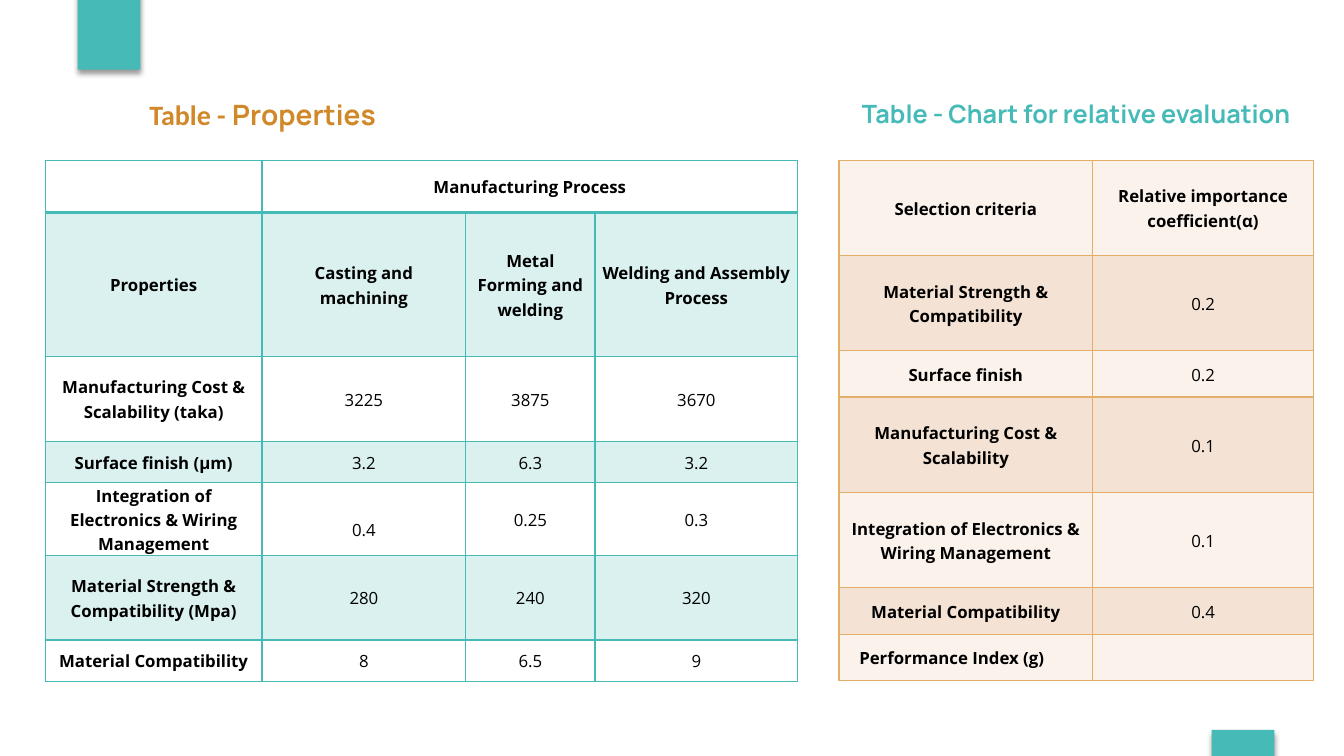
from lxml.etree import SubElement
from pptx import Presentation
from pptx.dml.color import RGBColor
from pptx.enum.shapes import MSO_SHAPE
from pptx.enum.text import MSO_ANCHOR, MSO_AUTO_SIZE, PP_ALIGN
from pptx.oxml import parse_xml
from pptx.oxml.ns import nsdecls, qn
from pptx.util import Pt

TEAL = RGBColor(0x46, 0xBA, 0xB7)
OCHRE = RGBColor(0xD0, 0x88, 0x28)
SAND = RGBColor(0xE2, 0xAE, 0x68)
CREAM = RGBColor(0xFA, 0xF2, 0xEB)
BEIGE = RGBColor(0xF4, 0xE3, 0xD4)
BLACK = RGBColor(0, 0, 0)

PROPERTIES = [
    ["", "Manufacturing Process", "", ""],
    ["Properties", "Casting and machining", "Metal Forming and welding",
     "Welding and Assembly Process"],
    ["Manufacturing Cost & Scalability (taka)", "3225", "3875", "3670"],
    ["Surface finish (μm)", "3.2", "6.3", "3.2"],
    ["Integration of Electronics & Wiring Management", "0.4", "0.25", "0.3"],
    ["Material Strength & Compatibility (Mpa)", "280", "240", "320"],
    ["Material Compatibility", "8", "6.5", "9"],
]
CRITERIA = [
    ["Selection criteria", "Relative importance coefficient(α)"],
    ["Material Strength & Compatibility", "0.2"],
    ["Surface finish", "0.2"],
    ["Manufacturing Cost & Scalability", "0.1"],
    ["Integration of Electronics & Wiring Management", "0.1"],
    ["Material Compatibility", "0.4"],
    ["Performance Index (g)", ""],
]


def add_run(paragraph, text, font_name, size, color, bold=True):
    run = paragraph.add_run()
    run.text = text
    run.font.name = font_name
    run.font.size = Pt(size)
    run.font.bold = bold
    run.font.color.rgb = color


def space_paragraph(paragraph):
    paragraph.alignment = PP_ALIGN.CENTER
    paragraph.line_spacing = 1.07
    paragraph.space_after = Pt(8)


def add_corner_block(slide, left, top):
    shape = slide.shapes.add_shape(
        MSO_SHAPE.RECTANGLE, Pt(left), Pt(top), Pt(44.9), Pt(90.7))
    shape.fill.solid()
    shape.fill.fore_color.rgb = TEAL
    shape.line.fill.background()
    shape.element.spPr.append(parse_xml(
        f'<a:effectLst {nsdecls("a")}>'
        f'<a:outerShdw blurRad="{Pt(4)}" dist="{Pt(3)}" dir="5400000" '
        'algn="t" rotWithShape="0"><a:srgbClr val="000000">'
        '<a:alpha val="40000"/></a:srgbClr></a:outerShdw></a:effectLst>'))


def place_heading(shape, left, top, width, height):
    """Position a heading and return its first paragraph."""
    shape.left, shape.top = Pt(left), Pt(top)
    shape.width, shape.height = Pt(width), Pt(height)
    frame = shape.text_frame
    frame.word_wrap = True
    frame.auto_size = MSO_AUTO_SIZE.SHAPE_TO_FIT_TEXT
    frame.vertical_anchor = MSO_ANCHOR.TOP
    return frame.paragraphs[0]


def set_borders(cell, color, widths):
    """Draw the four borders; widths maps a side to points, 1 by default."""
    properties = cell._tc.get_or_add_tcPr()
    for side in "LRTB":
        properties.append(parse_xml(
            f'<a:ln{side} {nsdecls("a")} w="{Pt(widths.get(side, 1))}">'
            f'<a:solidFill><a:srgbClr val="{color}"/></a:solidFill>'
            f'</a:ln{side}>'))


def fill_cell(cell, color, opacity=100):
    cell.fill.solid()
    cell.fill.fore_color.rgb = color
    if opacity < 100:
        color_element = cell._tc.tcPr.find(qn("a:solidFill"))[0]
        SubElement(color_element, qn("a:alpha"), val=str(opacity * 1000))


def write_cell(cell, text, bold):
    cell.vertical_anchor = MSO_ANCHOR.MIDDLE
    cell.margin_left = cell.margin_right = Pt(5)
    cell.margin_top = cell.margin_bottom = Pt(0)
    if text:
        paragraph = cell.text_frame.paragraphs[0]
        space_paragraph(paragraph)
        add_run(paragraph, text, "Open Sans", 12, BLACK, bold)


def add_grid(slide, left, column_widths, row_heights, rows, header_rows,
             border_color, thick_row=None):
    """Add a bordered table; a thick line runs below thick_row."""
    table = slide.shapes.add_table(
        len(rows), len(column_widths), Pt(left), Pt(114.5),
        Pt(sum(column_widths)), Pt(sum(row_heights))).table
    table.first_row = table.horz_banding = False
    for column, width in zip(table.columns, column_widths):
        column.width = Pt(width)
    for row_index, (row, height) in enumerate(zip(rows, row_heights)):
        table.rows[row_index].height = Pt(height)
        widths = {}
        if thick_row is not None:
            widths = {thick_row: {"B": 2}, thick_row + 1: {"T": 2}}.get(row_index, {})
        for column_index, text in enumerate(row):
            cell = table.cell(row_index, column_index)
            write_cell(cell, text, row_index < header_rows or column_index == 0)
            set_borders(cell, border_color, widths)
    return table


def add_properties_table(slide):
    table = add_grid(
        slide, 32.5, [154.6, 145.7, 92.2, 145],
        [37.4, 102.8, 60.5, 29.5, 52, 60.5, 29.5],
        PROPERTIES, 2, TEAL, thick_row=0)
    for index, row in enumerate(table.rows):
        for cell in row.cells:
            if index % 2:
                fill_cell(cell, TEAL, 20)
            else:
                cell.fill.background()
    table.cell(0, 1).merge(table.cell(0, 3))
    table.cell(4, 1).text_frame.paragraphs[0].line_spacing = 2.0


def add_criteria_table(slide):
    table = add_grid(
        slide, 599.3, [181.2, 157.8],
        [68, 68, 33.2, 68, 68.2, 33.2, 33.2],
        CRITERIA, 1, SAND)
    for index, row in enumerate(table.rows):
        for cell in row.cells:
            fill_cell(cell, BEIGE if index % 2 else CREAM)
    performance = table.cell(6, 0)
    performance.margin_left = Pt(14.5)
    performance.text_frame.paragraphs[0].alignment = PP_ALIGN.LEFT


def main():
    presentation = Presentation()
    presentation.slide_width = Pt(960)
    presentation.slide_height = Pt(540)
    slide = presentation.slides.add_slide(presentation.slide_layouts[5])

    add_corner_block(slide, 55.5, -41)
    add_corner_block(slide, 865.5, 521.3)

    title = place_heading(slide.shapes.title, 99.4, 66.2, 201.6, 31.7)
    title.alignment = PP_ALIGN.LEFT
    add_run(title, "Table - ", "Calibri", 20, OCHRE)
    add_run(title, "Properties", "Manrope", 20, OCHRE)
    add_properties_table(slide)

    text_box = slide.shapes.add_textbox(0, 0, 0, 0)
    heading = place_heading(text_box, 585.4, 65.5, 366.5, 29.5)
    space_paragraph(heading)
    add_run(heading, "Table - Chart for relative evaluation", "Manrope", 18, TEAL)
    add_criteria_table(slide)

    presentation.save("out.pptx")


if __name__ == "__main__":
    main()
